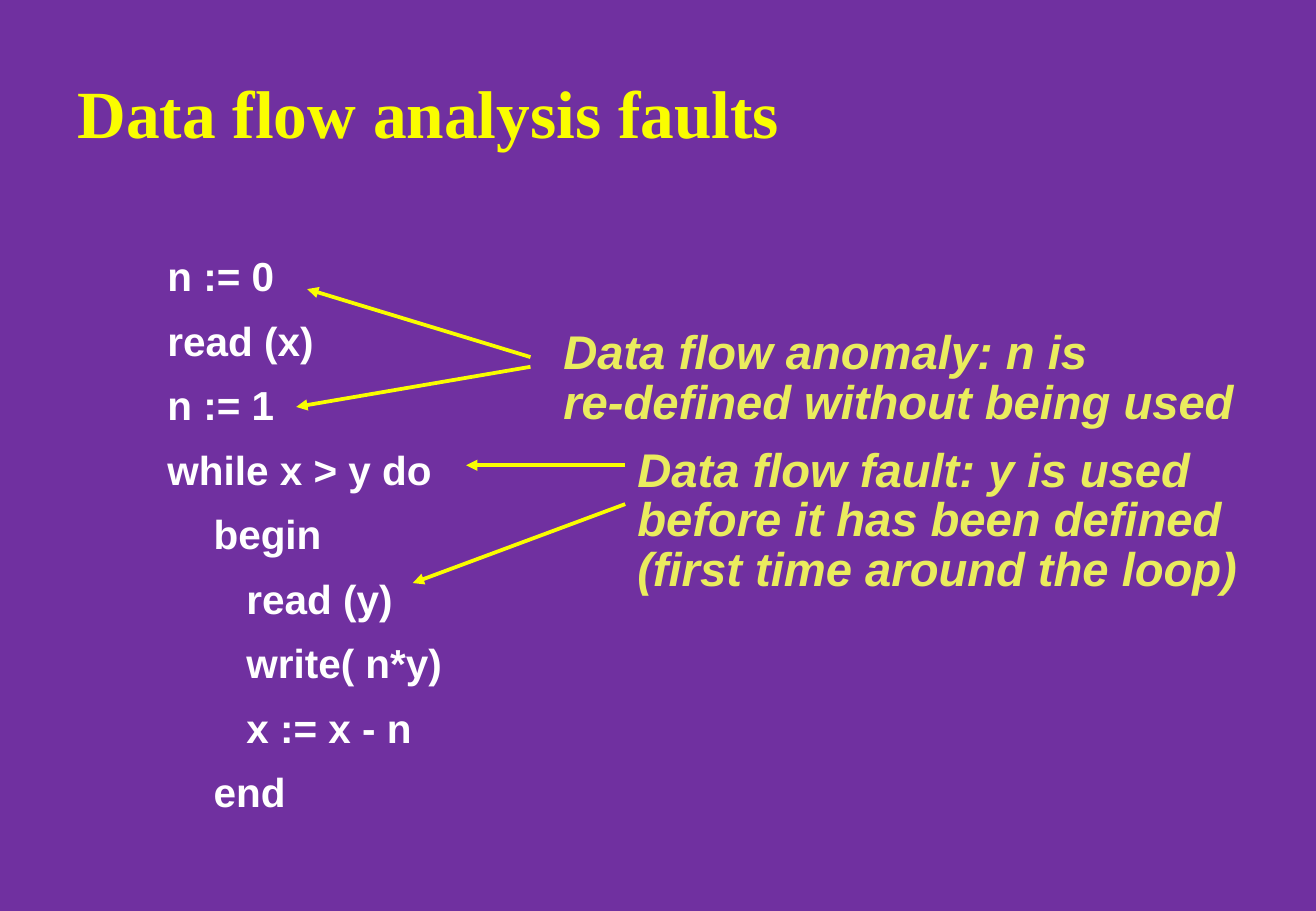
"""Build the slide on data flow analysis faults."""
from lxml import etree
from pptx import Presentation
from pptx import util as u
from pptx.dml.color import RGBColor
from pptx.enum import shapes, text
from pptx.oxml.ns import qn

COLOURS = {"background": "7030A0", "title": "FAFD00", "arrow": "FAFD00",
           "code": "FFFFFF", "note": "EAEC5E"}

deck = Presentation()
deck.slide_width, deck.slide_height = u.Inches(10.84), u.Inches(7.5)
page = deck.slides.add_slide(deck.slide_layouts[6])
page.background.fill.solid()
page.background.fill.fore_color.rgb = RGBColor.from_string(COLOURS["background"])


def add_text(lines, place, colour, size, font="Arial", italic=False,
             spacing=1.0, before=0, margins=(0.07, 0.03),
             anchor=text.MSO_ANCHOR.TOP):
    """Add a bold text box from (indent, wording) lines."""
    box = page.shapes.add_textbox(*map(u.Inches, place))
    frame = box.text_frame
    frame.word_wrap = True
    frame.vertical_anchor = anchor
    frame.margin_left = frame.margin_right = u.Inches(margins[0])
    frame.margin_top = frame.margin_bottom = u.Inches(margins[1])
    for number, (indent, wording) in enumerate(lines):
        para = frame.add_paragraph() if number else frame.paragraphs[0]
        para.line_spacing = spacing
        para.space_before = u.Pt(before)
        para._p.get_or_add_pPr().set("marL", str(u.Inches(indent)))
        span = para.add_run()
        span.text = wording
        span.font.name, span.font.size = font, u.Pt(size)
        span.font.bold, span.font.italic = True, italic
        span.font.color.rgb = RGBColor.from_string(COLOURS[colour])


add_text([(0, "Data flow analysis faults")], (0.54, 0.58, 9.21, 0.67), "title", 40,
         font="Times New Roman", margins=(0.1, 0.05), anchor=text.MSO_ANCHOR.MIDDLE)

BLOCK, BODY = 0.38, 0.65
code = [(0, "n := 0"), (0, "read (x)"), (0, "n := 1"), (0, "while x > y do"),
        (BLOCK, "begin"), (BODY, "read (y)"), (BODY, "write( n*y)"),
        (BODY, "x := x - n"), (BLOCK, "end")]
add_text(code, (1.31, 2.09, 3.13, 4.65), "code", 24, spacing=0.88, before=12.9)

notes = [
    ((4.57, 2.69, 5.74, 0.87),
     ["Data flow anomaly: n is", "re-defined without being used"],
     [(4.37, 3.02, 2.44, 3.35), (4.37, 2.94, 2.53, 2.38)]),
    ((5.18, 3.66, 5.16, 1.28),
     ["Data flow fault: y is used", "before it has been defined",
      "(first time around the loop)"],
     [(5.15, 3.83, 3.84, 3.83), (5.15, 4.15, 3.4, 4.8)]),
]
for place, lines, arrows in notes:
    add_text([(0, line) for line in lines], place, "note", 28,
             italic=True, spacing=0.87)
    for ends in arrows:
        arrow = page.shapes.add_connector(shapes.MSO_CONNECTOR.STRAIGHT,
                                          *map(u.Inches, ends))
        arrow.line.width = u.Pt(2.24)
        arrow.line.color.rgb = RGBColor.from_string(COLOURS["arrow"])
        etree.SubElement(arrow.line._get_or_add_ln(), qn("a:tailEnd"), type="triangle")
        etree.SubElement(arrow._element.spPr, qn("a:effectLst"))

deck.save("out.pptx")
